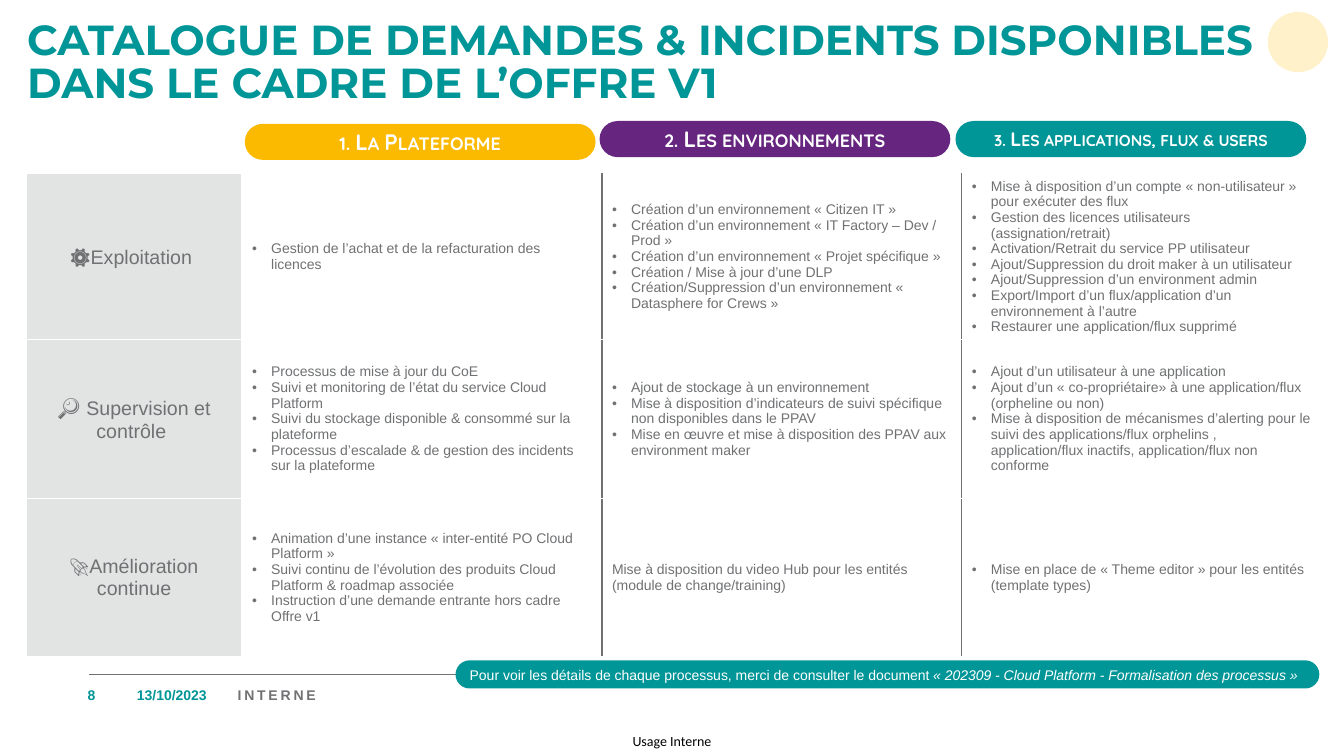
from lxml import etree
from pptx import Presentation
from pptx.dml.color import RGBColor
from pptx.enum.shapes import MSO_CONNECTOR, MSO_SHAPE
from pptx.enum.text import MSO_ANCHOR, MSO_AUTO_SIZE, PP_ALIGN
from pptx.oxml.ns import qn
from pptx.util import Cm, Pt

TEAL = RGBColor(0x00, 0x95, 0x97)
YELLOW = RGBColor(0xFB, 0xBA, 0x00)
PURPLE = RGBColor(0x66, 0x25, 0x7F)
CREAM = RGBColor(0xFF, 0xF2, 0xCB)
GREY = RGBColor(0x70, 0x71, 0x73)
LIGHT = RGBColor(0xE2, 0xE3, 0xE3)
WHITE = RGBColor(0xFF, 0xFF, 0xFF)
BLACK = RGBColor(0x00, 0x00, 0x00)

LEFT, CENTER, RIGHT = PP_ALIGN.LEFT, PP_ALIGN.CENTER, PP_ALIGN.RIGHT
TOP, MIDDLE = MSO_ANCHOR.TOP, MSO_ANCHOR.MIDDLE
ROUNDED, OVAL = MSO_SHAPE.ROUNDED_RECTANGLE, MSO_SHAPE.OVAL
STRAIGHT = MSO_CONNECTOR.STRAIGHT
NO_FIT = MSO_AUTO_SIZE.NONE

TITLE = "CATALOGUE DE DEMANDES & INCIDENTS DISPONIBLES DANS LE CADRE DE L’OFFRE V1"
HEADINGS = [
    ("1. La Plateforme", 6.17, 3.12, YELLOW, 16),
    ("2. Les environnements", 15.11, 3.05, PURPLE, 16),
    ("3. Les applications, flux & users", 24.08, 3.05, TEAL, 14),
]
ROWS = [
    ([("⚙️", 16), ("Exploitation", 14), (" ", 16)],
     ["Gestion de l’achat et de la refacturation des licences"],
     ["Création d’un environnement « Citizen IT »",
      "Création d’un environnement « IT Factory – Dev / Prod »",
      "Création d’un environnement « Projet spécifique »",
      "Création / Mise à jour d’une DLP ",
      "Création/Suppression d’un environnement « Datasphere for Crews »"],
     ["Mise à disposition d’un compte « non-utilisateur » pour exécuter des flux",
      "Gestion des licences utilisateurs (assignation/retrait)",
      "Activation/Retrait du service PP utilisateur",
      "Ajout/Suppression du droit maker à un utilisateur",
      "Ajout/Suppression d’un environment admin",
      "Export/Import d’un flux/application d’un environnement à l’autre",
      "Restaurer une application/flux supprimé"]),
    ([("🔎 ", 16), ("Supervision et contrôle ", 14)],
     ["Processus de mise à jour du CoE",
      "Suivi et monitoring de l’état du service Cloud Platform",
      "Suivi du stockage disponible & consommé sur la plateforme",
      "Processus d’escalade & de gestion des incidents sur la plateforme"],
     ["Ajout de stockage à un environnement",
      "Mise à disposition d’indicateurs de suivi spécifique non disponibles dans le PPAV",
      "Mise en œuvre et mise à disposition des PPAV aux environment maker"],
     ["Ajout d’un utilisateur à une application",
      "Ajout d’un « co-propriétaire» à une application/flux (orpheline ou non)",
      "Mise à disposition de mécanismes d’alerting pour le suivi des applications/flux "
      "orphelins , application/flux inactifs, application/flux non conforme"]),
    ([("🚀Amélioration continue", 14)],
     ["Animation d’une instance « inter-entité PO Cloud Platform »",
      "Suivi continu de l’évolution des produits Cloud Platform & roadmap associée",
      "Instruction d’une demande entrante hors cadre Offre v1"],
     "Mise à disposition du video Hub pour les entités (module de change/training)",
     ["Mise en place de « Theme editor » pour les entités (template types)"]),
]


def set_attrs(obj, values):
    for name, value in values.items():
        setattr(obj, name, value)


def add_run(p, text, size, color, font="Arial", **fmt):
    r = p.add_run()
    r.text = text
    set_attrs(r.font, dict(name=font, size=Pt(size), **fmt))
    r.font.color.rgb = color
    return r


def add_text(s, text, box, size, color, align=LEFT, font="Arial", bold=True, inset=None):
    tf = s.shapes.add_textbox(*map(Cm, box)).text_frame
    set_attrs(tf, dict(word_wrap=True, auto_size=NO_FIT, vertical_anchor=MIDDLE))
    if inset is not None:
        set_attrs(tf, {f"margin_{side}": Cm(inset) for side in ("left", "right", "top", "bottom")})
    p = tf.paragraphs[0]
    p.alignment = align
    return add_run(p, text, size, color, font, bold=bold)


def add_filled(s, kind, box, color):
    sp = s.shapes.add_shape(kind, *map(Cm, box))
    sp.shadow.inherit = False
    sp.fill.solid()
    sp.fill.fore_color.rgb = color
    sp.line.fill.background()
    return sp


def add_pill(s, box, color):
    sp = add_filled(s, ROUNDED, box, color)
    sp.adjustments[0] = 0.5
    set_attrs(sp.text_frame, dict(word_wrap=True, vertical_anchor=MIDDLE))
    p = sp.text_frame.paragraphs[0]
    p.alignment = CENTER
    return sp, p


def add_heading(s, text, left, top, color, size):
    sp, p = add_pill(s, (left, top, 8.84, 0.91), color)
    set_attrs(sp.text_frame, dict(margin_top=Cm(0.25), margin_bottom=Cm(0.25)))
    r = add_run(p, text, size, WHITE, "Quicksand", bold=True)
    r.font._element.set("cap", "small")


def add_rule(s):
    line = s.shapes.add_connector(STRAIGHT, Cm(2.24), Cm(16.99), Cm(31.62), Cm(16.99))
    line.line.color.rgb = GREY
    line.line.width = Pt(0.5)
    etree.SubElement(line._element.spPr, qn("a:effectLst"))


def set_bullet(p):
    pPr = p._p.get_or_add_pPr()
    pPr.set("marL", str(Cm(0.48)))
    pPr.set("indent", str(-Cm(0.48)))
    etree.SubElement(pPr, qn("a:buFont")).set("typeface", "Arial")
    etree.SubElement(pPr, qn("a:buChar")).set("char", "•")


def format_cell(cell, fill, borders):
    tcPr = cell._tc.get_or_add_tcPr()
    for side, color in zip("LRTB", borders):
        ln = etree.SubElement(tcPr, qn(f"a:ln{side}"))
        ln.set("w", str(Pt(1)))
        solid = etree.SubElement(ln, qn("a:solidFill"))
        etree.SubElement(solid, qn("a:srgbClr")).set("val", str(color))
    cell.fill.solid()
    cell.fill.fore_color.rgb = fill
    cell.vertical_anchor = MIDDLE


def fill_label(cell, parts):
    p = cell.text_frame.paragraphs[0]
    p.alignment = CENTER
    for text, size in parts:
        add_run(p, text, size, GREY)


def fill_items(cell, items):
    tf = cell.text_frame
    if isinstance(items, str):
        add_run(tf.paragraphs[0], items, 10, GREY)
        return
    for i, item in enumerate(items):
        p = tf.add_paragraph() if i else tf.paragraphs[0]
        set_bullet(p)
        add_run(p, item, 10, GREY)


def add_catalogue(s):
    widths, height = (5.44, 9.07, 9.07, 9.07), 3.99
    frame = s.shapes.add_table(len(ROWS), len(widths), Cm(0.66), Cm(4.37),
                               Cm(sum(widths)), Cm(height * len(ROWS)))
    table = frame.table
    set_attrs(table, dict(first_row=False, horz_banding=False))
    for column, width in zip(table.columns, widths):
        column.width = Cm(width)
    for i, (label, *topics) in enumerate(ROWS):
        table.rows[i].height = Cm(height)
        format_cell(table.cell(i, 0), LIGHT, (WHITE,) * 4)
        fill_label(table.cell(i, 0), label)
        for j, items in enumerate(topics, 1):
            left = GREY if j > 1 else WHITE
            right = GREY if j < len(topics) else WHITE
            format_cell(table.cell(i, j), WHITE, (left, right, WHITE, WHITE))
            fill_items(table.cell(i, j), items)


def set_title(s):
    sp = s.shapes.title
    set_attrs(sp, dict(left=Cm(0.43), top=Cm(0.41), width=Cm(32.82), height=Cm(2.49)))
    set_attrs(sp.text_frame, dict(word_wrap=True, auto_size=NO_FIT, vertical_anchor=TOP))
    p = sp.text_frame.paragraphs[0]
    set_attrs(p, dict(alignment=LEFT, line_spacing=0.85))
    add_run(p, TITLE, 30, TEAL, "Montserrat", bold=True)


def add_footer(s):
    r = add_text(s, "INTERNE", (5.74, 17.15, 11.99, 0.71), 10, GREY)
    r.font._element.set("spc", "200")
    add_text(s, "Usage Interne", (15.54, 18.31, 2.79, 0.74), 10, BLACK, CENTER, "Calibri", False, 0)
    add_text(s, "8", (1.96, 17.15, 1.5, 0.71), 10, TEAL)
    add_text(s, "13/10/2023", (3.15, 17.15, 2.31, 0.71), 10, TEAL, RIGHT)


def add_reference(s):
    sp, p = add_pill(s, (11.48, 16.64, 21.77, 0.71), TEAL)
    add_run(p, "Pour voir les détails de chaque processus, merci de consulter le document ", 10, WHITE)
    add_run(p, "« 202309 - Cloud Platform - Formalisation des processus »  ", 10, WHITE, italic=True)


def main():
    prs = Presentation()
    set_attrs(prs, dict(slide_width=Cm(33.87), slide_height=Cm(19.05)))
    s = prs.slides.add_slide(prs.slide_layouts[5])
    add_rule(s)
    set_title(s)
    add_footer(s)
    for heading in HEADINGS:
        add_heading(s, *heading)
    add_catalogue(s)
    add_filled(s, OVAL, (31.95, 0.3, 1.52, 1.52), CREAM)
    add_reference(s)
    prs.save("out.pptx")


if __name__ == "__main__":
    main()
